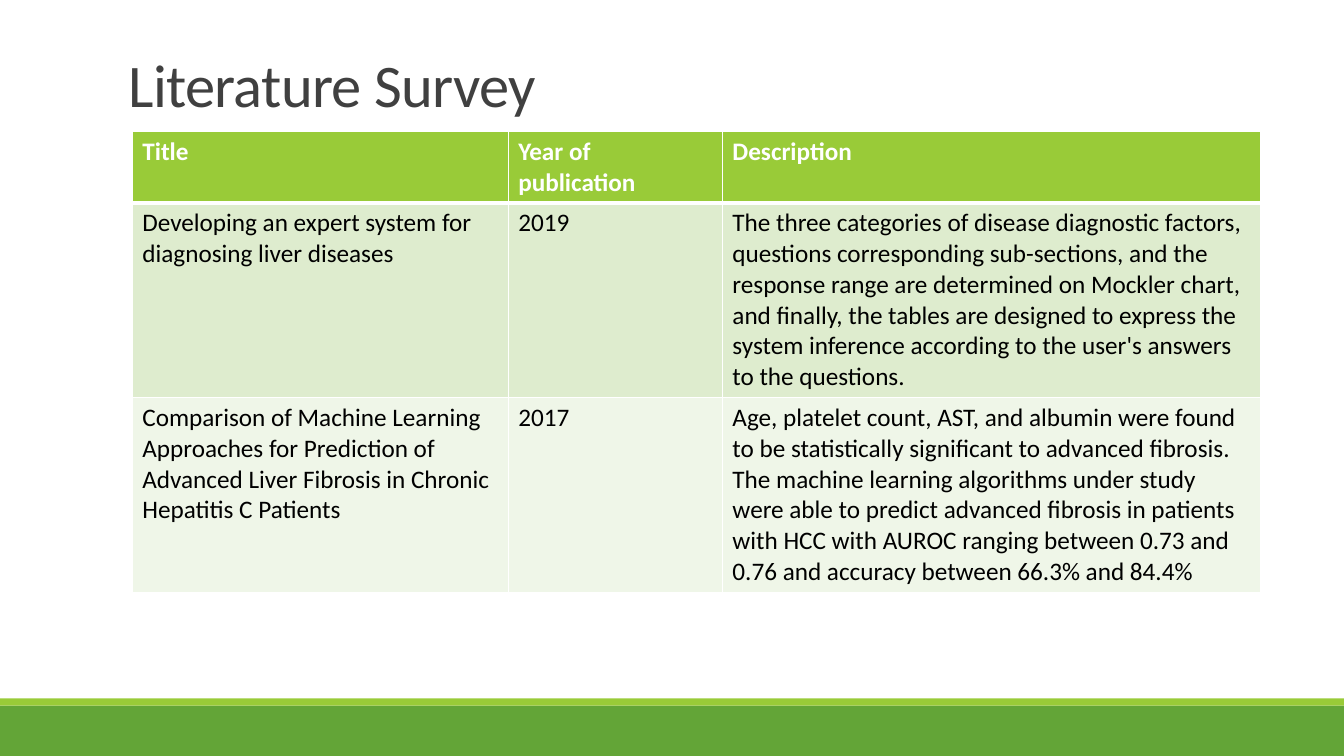
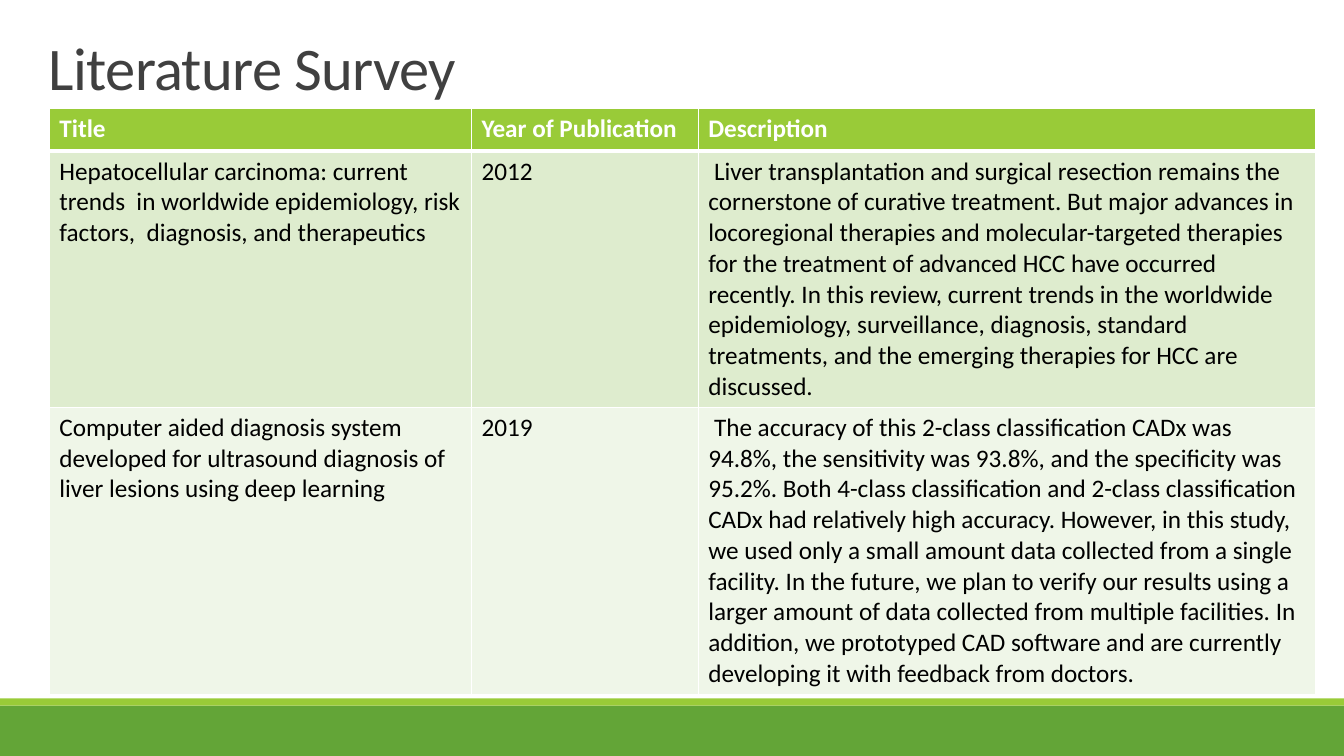
from lxml import etree
from pptx import Presentation
from pptx.dml.color import RGBColor
from pptx.enum.shapes import MSO_SHAPE
from pptx.enum.text import MSO_ANCHOR, MSO_AUTO_SIZE, PP_ALIGN
from pptx.oxml.ns import qn
from pptx.util import Emu, Pt

RECTANGLE = MSO_SHAPE.RECTANGLE
BOTTOM = MSO_ANCHOR.BOTTOM
NO_AUTOFIT = MSO_AUTO_SIZE.NONE
LEFT = PP_ALIGN.LEFT

# Shared look
EMU_PER_PX = 9525
SLIDE_WIDTH, SLIDE_HEIGHT = 1280, 720
TITLE_ONLY = 5
FONT = "Calibri"
COLORS = {
    "band": "63A537",
    "accent": "99CB38",
    "title": "404040",
    "text": "000000",
    "white": "FFFFFF",
    "odd_row": "DEECCE",
    "even_row": "EFF6E8",
}
BANDS = [("band", 672, 48), ("accent", 665, 7)]
THIN, THICK = 1, 3

# Slide content
SURVEYS = [
    {
        "title_box": (113, 59, 1056, 60),
        "table_origin": (126, 125),
        "columns": [358, 204, 513],
        "row_heights": [66, 180, 180],
        "rows": [
            ["Title", "Year of publication", "Description"],
            [
                "Developing an expert system for diagnosing liver diseases",
                "2019",
                "The three categories of disease diagnostic factors, questions "
                "corresponding sub-sections, and the response range are determined "
                "on Mockler chart, and finally, the tables are designed to express "
                "the system inference according to the user's answers to the "
                "questions.",
            ],
            [
                "Comparison of Machine Learning Approaches for Prediction of "
                "Advanced Liver Fibrosis in Chronic Hepatitis C Patients",
                "2017",
                "Age, platelet count, AST, and albumin were found to be "
                "statistically significant to advanced fibrosis. The machine "
                "learning algorithms under study were able to predict advanced "
                "fibrosis in patients with HCC with AUROC ranging between 0.73 and "
                "0.76 and accuracy between 66.3% and 84.4%",
            ],
        ],
    },
    {
        "title_box": (37, 31, 1056, 72),
        "table_origin": (47, 103),
        "columns": [402, 216, 588],
        "row_heights": [41, 243, 273],
        "rows": [
            ["Title", "Year of Publication", "Description"],
            [
                "Hepatocellular carcinoma: current trends  in worldwide "
                "epidemiology, risk factors,  diagnosis, and therapeutics",
                "2012",
                " Liver transplantation and surgical resection remains the "
                "cornerstone of curative treatment. But major advances in "
                "locoregional therapies and molecular-targeted therapies for the "
                "treatment of advanced HCC have occurred recently. In this review, "
                "current trends in the worldwide epidemiology, surveillance, "
                "diagnosis, standard treatments, and the emerging therapies for HCC "
                "are discussed.",
            ],
            [
                "Computer aided diagnosis system developed for ultrasound diagnosis "
                "of liver lesions using deep learning",
                "2019",
                " The accuracy of this 2-class classification CADx was 94.8%, the "
                "sensitivity was 93.8%, and the specificity was 95.2%. Both 4-class "
                "classification and 2-class classification CADx had relatively high "
                "accuracy. However, in this study, we used only a small amount data "
                "collected from a single facility. In the future, we plan to verify "
                "our results using a larger amount of data collected from multiple "
                "facilities. In addition, we prototyped CAD software and are "
                "currently developing it with feedback from doctors.",
            ],
        ],
    },
]


def px(length):
    return Emu(length * EMU_PER_PX)


def color(name):
    return RGBColor.from_string(COLORS[name])


def write_text(text_frame, text, *, size=18, fill="text", bold=False,
               line_spacing=1.0, tracking=0):
    """Write one left-aligned paragraph; tracking is in hundredths of a point."""
    paragraph = text_frame.paragraphs[0]
    paragraph.alignment = LEFT
    paragraph.line_spacing = line_spacing
    run = paragraph.add_run()
    run.text = text
    run.font.name = FONT
    run.font.size = Pt(size)
    run.font.bold = bold
    run.font.color.rgb = color(fill)
    if tracking:
        run.font._element.set("spc", str(tracking))


def add_bands(slide):
    for fill, top, height in BANDS:
        shape = slide.shapes.add_shape(
            RECTANGLE, 0, px(top), px(SLIDE_WIDTH), px(height))
        shape.shadow.inherit = False
        shape.fill.solid()
        shape.fill.fore_color.rgb = color(fill)
        shape.line.fill.background()


def set_title(slide, text, box):
    title = slide.shapes.title
    title.left, title.top, title.width, title.height = map(px, box)
    text_frame = title.text_frame
    text_frame.word_wrap = True
    text_frame.auto_size = NO_AUTOFIT
    text_frame.vertical_anchor = BOTTOM
    write_text(text_frame, text, size=43.2, fill="title",
               line_spacing=0.85, tracking=-50)


def set_borders(cell, top, bottom):
    """Draw white borders; the border elements must come before the fill."""
    properties = cell._tc.get_or_add_tcPr()
    widths = {"a:lnL": THIN, "a:lnR": THIN, "a:lnT": top, "a:lnB": bottom}
    for position, (tag, width) in enumerate(widths.items()):
        border = etree.Element(qn(tag), w=str(Pt(width)))
        fill = etree.SubElement(border, qn("a:solidFill"))
        etree.SubElement(fill, qn("a:srgbClr"), val=COLORS["white"])
        properties.insert(position, border)


def add_survey_table(slide, origin, columns, row_heights, rows):
    left, top = map(px, origin)
    table = slide.shapes.add_table(
        len(rows), len(columns), left, top,
        px(sum(columns)), px(sum(row_heights))).table
    for column, width in zip(table.columns, columns):
        column.width = px(width)
    for row, height in zip(table.rows, row_heights):
        row.height = px(height)

    for row_index, texts in enumerate(rows):
        header = row_index == 0
        row_fill = "accent" if header else ("even_row", "odd_row")[row_index % 2]
        for column_index, text in enumerate(texts):
            cell = table.cell(row_index, column_index)
            cell.fill.solid()
            cell.fill.fore_color.rgb = color(row_fill)
            write_text(cell.text_frame, text, bold=header,
                       fill="white" if header else "text")
            set_borders(cell, top=THICK if row_index == 1 else THIN,
                        bottom=THICK if header else THIN)


def main():
    presentation = Presentation()
    presentation.slide_width = px(SLIDE_WIDTH)
    presentation.slide_height = px(SLIDE_HEIGHT)
    for survey in SURVEYS:
        slide = presentation.slides.add_slide(
            presentation.slide_layouts[TITLE_ONLY])
        add_bands(slide)
        set_title(slide, "Literature Survey", survey["title_box"])
        add_survey_table(slide, survey["table_origin"], survey["columns"],
                         survey["row_heights"], survey["rows"])
    presentation.save("out.pptx")


if __name__ == "__main__":
    main()
